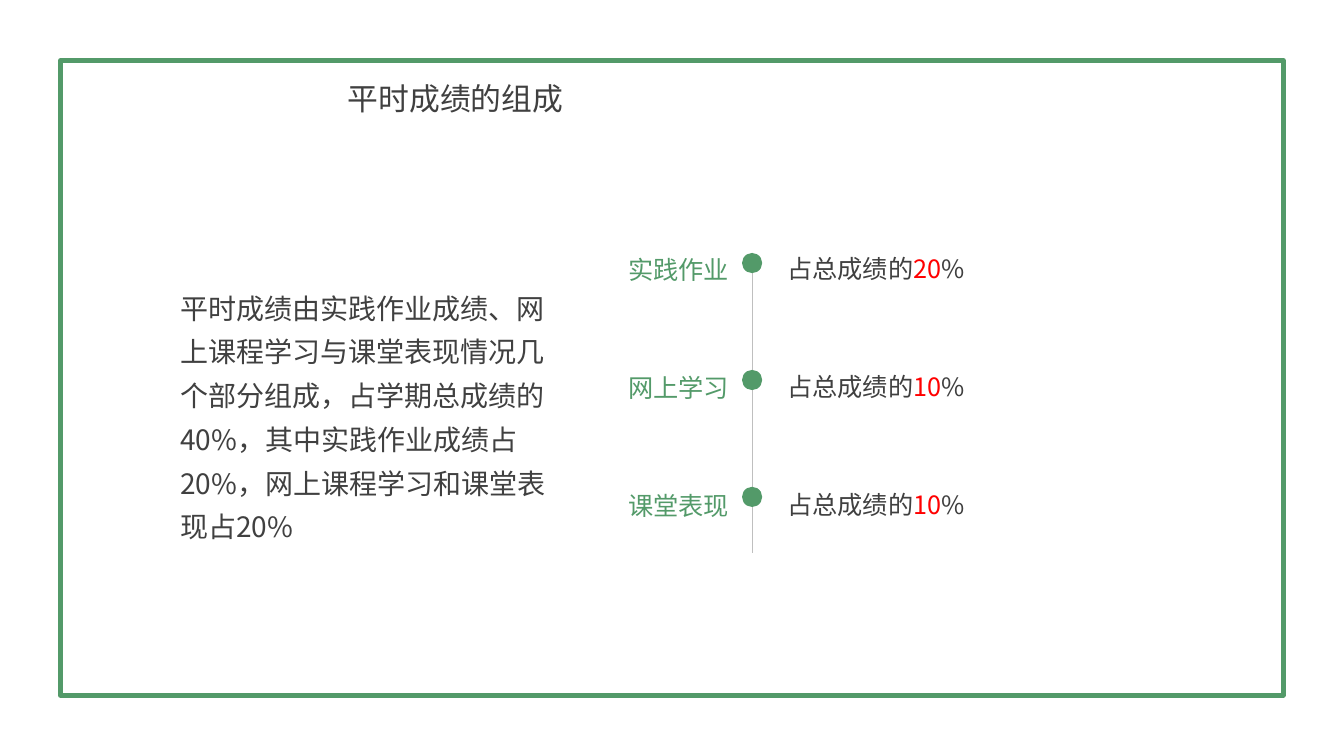
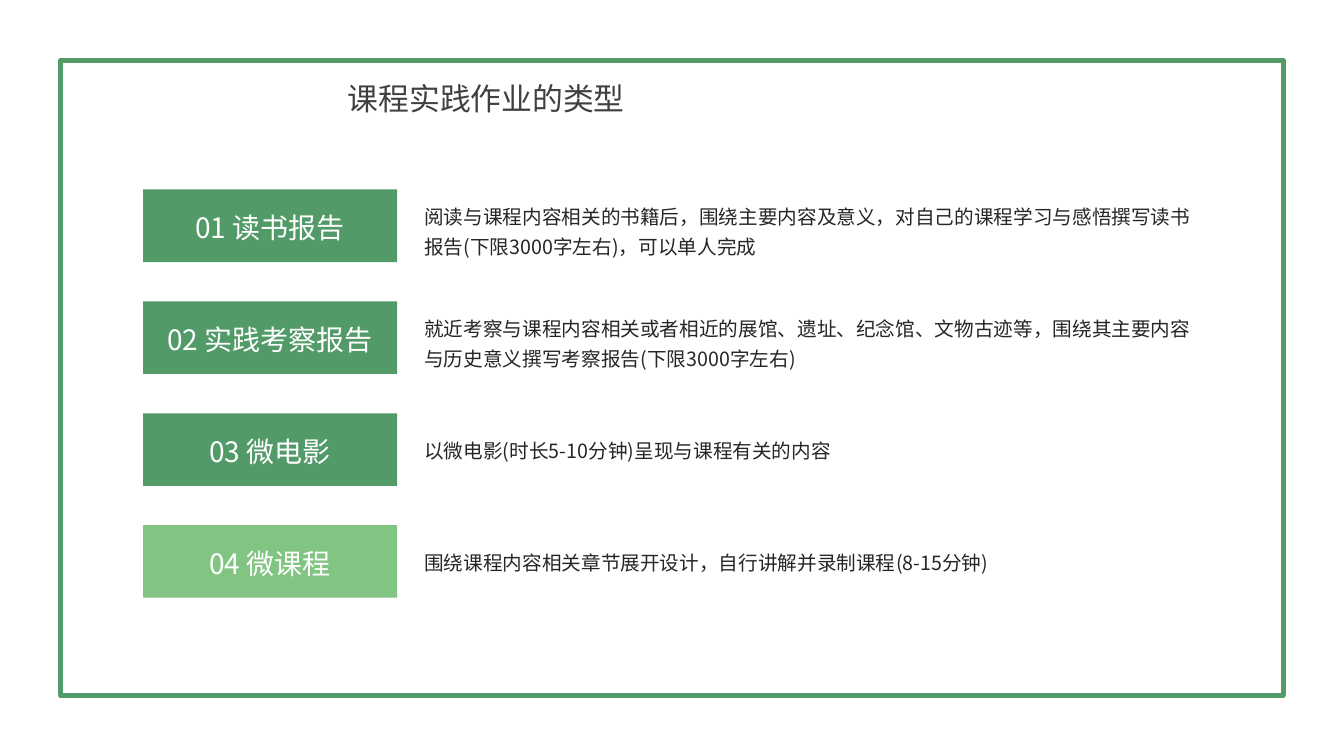
from dataclasses import dataclass

from pptx import Presentation
from pptx.dml.color import RGBColor
from pptx.enum.shapes import MSO_CONNECTOR, MSO_SHAPE
from pptx.enum.text import MSO_ANCHOR, MSO_AUTO_SIZE, PP_ALIGN
from pptx.oxml import parse_xml
from pptx.oxml.ns import nsdecls, qn
from pptx.util import Inches, Pt


@dataclass(frozen=True)
class Theme:
    """Colours, font and type sizes shared by all slides."""
    green: str = "539A69"
    light: str = "82C481"
    gray: str = "404040"
    ink: str = "262626"
    rule: str = "BFBFBF"
    red: str = "FF0000"
    white: str = "FFFFFF"
    font: str = "Noto Sans CJK SC"
    title: int = 22
    large: int = 20
    label: int = 18
    small: int = 14
    tight: float = 1.3
    loose: float = 1.56


THEME = Theme()

SCORES = [("实践作业", "20"), ("网上学习", "10"), ("课堂表现", "10")]
SUMMARY = ("平时成绩由实践作业成绩、网上课程学习与课堂表现情况几个部分组成，"
           "占学期总成绩的40%，其中实践作业成绩占20%，网上课程学习和课堂表现占20%")
TASKS = [
    ("01 读书报告", THEME.green, 0.03, 0.71,
     "阅读与课程内容相关的书籍后，围绕主要内容及意义，"
     "对自己的课程学习与感悟撰写读书报告(下限3000字左右)，可以单人完成"),
    ("02 实践考察报告", THEME.green, 0.03, 0.71,
     "就近考察与课程内容相关或者相近的展馆、遗址、纪念馆、文物古迹等，"
     "围绕其主要内容与历史意义撰写考察报告(下限3000字左右)"),
    ("03 微电影", THEME.green, 0.14, 0.41,
     "以微电影(时长5-10分钟)呈现与课程有关的内容"),
    ("04 微课程", THEME.light, 0.14, 0.41,
     "围绕课程内容相关章节展开设计，自行讲解并录制课程(8-15分钟)"),
]


def assign(item, values):
    """Set each named attribute of an item."""
    for name, value in values.items():
        setattr(item, name, value)


def write(frame, runs, size, ratio, align=PP_ALIGN.LEFT):
    """Write one paragraph from pairs of text and colour."""
    para = frame.paragraphs[0]
    assign(para, {"alignment": align, "line_spacing": Pt(size * ratio),
                  "space_before": Pt(0)})
    for text, color in runs:
        run = para.add_run()
        run.text = text
        assign(run.font, {"size": Pt(size), "name": THEME.font,
                          "bold": False})
        run.font.color.rgb = RGBColor.from_string(color)
        east = run.font._element.makeelement(
            qn("a:ea"), {"typeface": THEME.font})
        run.font._element.find(qn("a:latin")).addnext(east)


def note(slide, box, runs, size, ratio, align=PP_ALIGN.LEFT):
    """Add a wrapped text box that grows with its text."""
    frame = slide.shapes.add_textbox(*map(Inches, box)).text_frame
    assign(frame, {"word_wrap": True,
                   "auto_size": MSO_AUTO_SIZE.SHAPE_TO_FIT_TEXT})
    write(frame, runs, size, ratio, align)


def solid(slide, kind, box, color):
    """Add a filled shape without outline or shadow."""
    shape = slide.shapes.add_shape(kind, *map(Inches, box))
    shape.shadow.inherit = False
    shape.fill.solid()
    shape.fill.fore_color.rgb = RGBColor.from_string(color)
    shape.line.fill.background()
    return shape


def base(deck, title):
    """Start a slide with the green border and a title."""
    slide = deck.slides.add_slide(deck.slide_layouts[5])
    edge = slide.shapes.add_shape(
        MSO_SHAPE.RECTANGLE, *map(Inches, (0.6, 0.6, 12.13, 6.3)))
    edge.shadow.inherit = False
    edge.fill.background()
    edge.line.color.rgb = RGBColor.from_string(THEME.green)
    edge.line.width = Pt(3)
    head = slide.shapes.title
    assign(head, {"left": Inches(3.35), "top": Inches(0.74),
                  "width": Inches(3.17), "height": Inches(0.44)})
    assign(head.text_frame, {"vertical_anchor": MSO_ANCHOR.MIDDLE,
                             "auto_size": MSO_AUTO_SIZE.NONE,
                             "word_wrap": True})
    write(head.text_frame, [(title, THEME.gray)], THEME.title, THEME.tight)
    return slide


def axis(slide, left, top, height):
    """Draw the thin upright line of the score list."""
    line = slide.shapes.add_connector(
        MSO_CONNECTOR.STRAIGHT,
        *map(Inches, (left, top, left, top + height)))
    line.line.color.rgb = RGBColor.from_string(THEME.rule)
    line.line.width = Pt(0.25)
    line._element.spPr.append(
        parse_xml(f"<a:effectLst {nsdecls('a')}/>"))


def scores(slide, left, top):
    """Place the score list with its dots, names and shares."""
    side, mid = 0.2, left + 1.46
    axis(slide, mid, top + 0.14, 2.98)
    for row, (name, share) in enumerate(SCORES):
        y = top + row * 1.17
        note(slide, (left, y + 0.08, 1.46, 0.4), [(name, THEME.green)],
             THEME.label, THEME.tight, PP_ALIGN.CENTER)
        note(slide, (mid + 0.25, y, 4.12, 0.49),
             [("占总成绩的", THEME.gray), (share, THEME.red),
              ("%", THEME.gray)], THEME.label, THEME.loose)
        solid(slide, MSO_SHAPE.OVAL,
              (mid - side / 2, top + 0.14 + row * 1.16, side, side),
              THEME.green)


def tasks(slide, left, top):
    """Place the task bands and their descriptions."""
    for row, (name, color, drop, height, text) in enumerate(TASKS):
        y = top + row * 1.11
        band = solid(slide, MSO_SHAPE.RECTANGLE, (left, y, 2.52, 0.72), color)
        band.text_frame.vertical_anchor = MSO_ANCHOR.MIDDLE
        write(band.text_frame, [(name, THEME.white)], THEME.large,
              THEME.tight, PP_ALIGN.CENTER)
        note(slide, (left + 2.69, y + drop, 7.81, height),
             [(text, THEME.ink)], THEME.small, THEME.loose)


def main():
    """Build and save the deck."""
    deck = Presentation()
    assign(deck, {"slide_width": Inches(13.33), "slide_height": Inches(7.5)})
    slide = base(deck, "平时成绩的组成")
    note(slide, (1.69, 2.74, 4.06, 2.29), [(SUMMARY, THEME.gray)],
         THEME.large, THEME.loose)
    scores(slide, 6, 2.37)
    tasks(base(deck, "课程实践作业的类型"), 1.42, 1.88)
    deck.save("out.pptx")


if __name__ == "__main__":
    main()
